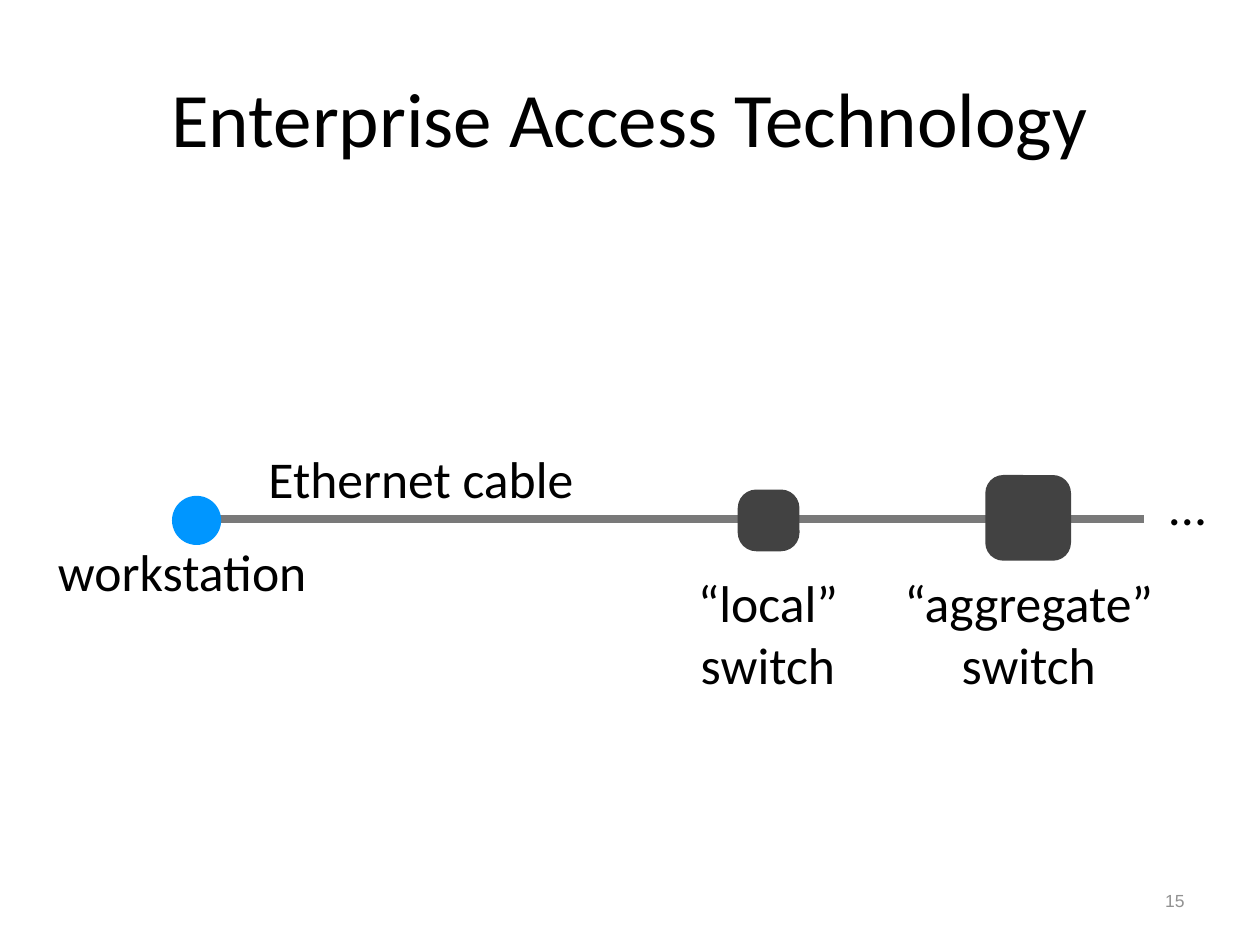
from pptx import Presentation
from pptx.dml.color import RGBColor
from pptx.enum.shapes import MSO_CONNECTOR, MSO_SHAPE
from pptx.enum.text import MSO_ANCHOR, MSO_AUTO_SIZE, PP_ALIGN
from pptx.oxml.ns import qn
from pptx.util import Inches, Pt
from lxml import etree

LEFT, CENTER, RIGHT = PP_ALIGN.LEFT, PP_ALIGN.CENTER, PP_ALIGN.RIGHT
MIDDLE = MSO_ANCHOR.MIDDLE
FIT_SHAPE = MSO_AUTO_SIZE.SHAPE_TO_FIT_TEXT
STRAIGHT = MSO_CONNECTOR.STRAIGHT
OVAL, ROUNDED = MSO_SHAPE.OVAL, MSO_SHAPE.ROUNDED_RECTANGLE

THEME = {
    "title": {"size": 44, "font": "Calibri", "color": "000000"},
    "label": {"size": 29.5, "font": "Calibri", "color": "000000"},
    "number": {"size": 10, "font": "Arial", "color": "919191"},
    "cable": "797979",
    "cable_width": 5,
    "workstation": "0096FF",
    "switch": "424242",
}

TITLE = ("Enterprise Access Technology", (0.5, 0.3, 9, 1.25))
NUMBER = ("15", (7.17, 6.95, 2.33, 0.4))
LABELS = [
    ("workstation", (0.42, 4.24, 2.28, 0.58), LEFT, True),
    ("“aggregate” switch", (6.76, 4.49, 2.81, 1.07), CENTER, True),
    ("Ethernet cable", (2.09, 3.5, 3.08, 0.58), LEFT, True),
    ("“local” switch", (5.23, 4.49, 1.73, 1.07), CENTER, True),
    ("...", (9.23, 3.72, 0.43, 0.58), LEFT, False),
]
CABLE_START, CABLE_END, CABLE_Y = 1.58, 9.08, 4.12
NODES = [
    (OVAL, "workstation", 1.56, 4.13, 0.39, None),
    (ROUNDED, "switch", 6.1, 4.13, 0.49, 0.3),
    (ROUNDED, "switch", 8.16, 4.11, 0.68, 0.21),
]


def add_text(page, text, place, style, align, margin=None, wrap=True):
    box = page.shapes.add_textbox(*map(Inches, place))
    frame = box.text_frame
    frame.text = text
    frame.word_wrap = wrap
    frame.vertical_anchor = MIDDLE
    if margin is not None:
        frame.auto_size = FIT_SHAPE
        frame.margin_left = frame.margin_right = Inches(margin)
        frame.margin_top = frame.margin_bottom = Inches(margin)
    para = frame.paragraphs[0]
    para.alignment = align
    font = para.runs[0].font
    font.name = THEME[style]["font"]
    font.size = Pt(THEME[style]["size"])
    font.color.rgb = RGBColor.from_string(THEME[style]["color"])


def add_cable(page):
    ends = (CABLE_START, CABLE_Y, CABLE_END, CABLE_Y)
    cable = page.shapes.add_connector(STRAIGHT, *map(Inches, ends))
    cable.line.color.rgb = RGBColor.from_string(THEME["cable"])
    cable.line.width = Pt(THEME["cable_width"])
    etree.SubElement(cable._element.spPr, qn("a:effectLst"))


def add_node(page, kind, color, center_x, center_y, size, rounding):
    place = (center_x - size / 2, center_y - size / 2, size, size)
    node = page.shapes.add_shape(kind, *map(Inches, place))
    node.shadow.inherit = False
    node.fill.solid()
    node.fill.fore_color.rgb = RGBColor.from_string(THEME[color])
    node.line.fill.background()
    if rounding is not None:
        node.adjustments[0] = rounding


def main():
    deck = Presentation()
    deck.slide_width, deck.slide_height = Inches(10), Inches(7.5)
    page = deck.slides.add_slide(deck.slide_layouts[6])
    add_text(page, *TITLE, "title", CENTER)
    add_text(page, *NUMBER, "number", RIGHT)
    add_cable(page)
    for node in NODES:
        add_node(page, *node)
    for text, place, align, wrap in LABELS:
        add_text(page, text, place, "label", align, 0.04, wrap)
    deck.save("out.pptx")


if __name__ == "__main__":
    main()
